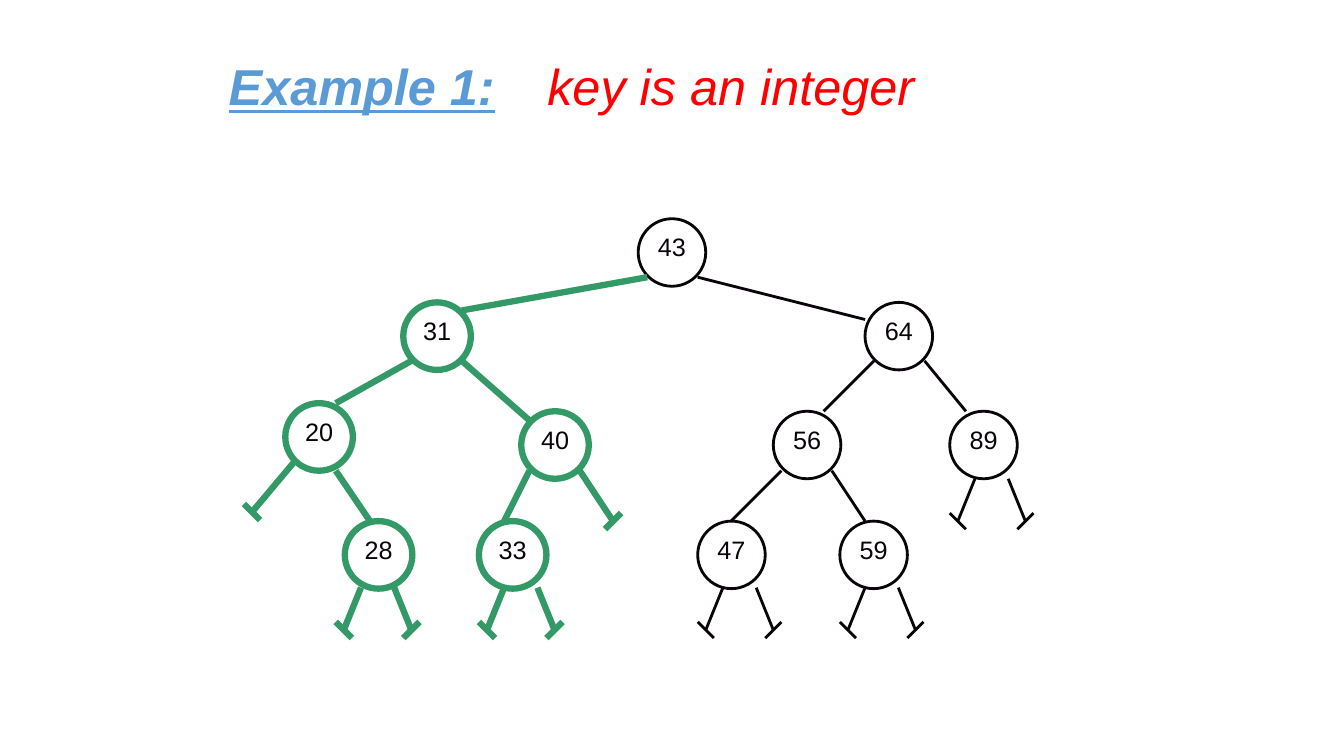
"""Binary search tree with integer keys, its left subtree highlighted."""
from dataclasses import dataclass

from lxml import etree
from pptx import Presentation
from pptx.dml.color import RGBColor
from pptx.enum.shapes import MSO_CONNECTOR, MSO_SHAPE
from pptx.enum.text import MSO_AUTO_SIZE, PP_ALIGN
from pptx.oxml.ns import qn
from pptx.util import Inches, Pt

STRAIGHT = MSO_CONNECTOR.STRAIGHT
OVAL = MSO_SHAPE.OVAL
GROW = MSO_AUTO_SIZE.SHAPE_TO_FIT_TEXT
LEFT, CENTER = PP_ALIGN.LEFT, PP_ALIGN.CENTER


@dataclass(frozen=True)
class Theme:
    """Colours, type sizes and measures of the slide."""
    font: str = "Arial"
    ink: str = "090409"
    highlight: str = "339966"
    heading: str = "5B9BD5"
    topic: str = "FF0000"
    title_size: int = 36
    key_size: int = 18
    plain_width: float = 2
    bold_width: float = 4.5
    node: float = 0.67
    tick: float = 0.08


class TreeSlide:
    """Draws the elements of a tree on one slide."""

    def __init__(self, slide, theme):
        self.slide, self.theme = slide, theme

    def stroke(self, line, highlighted):
        theme = self.theme
        line.color.rgb = RGBColor.from_string(theme.highlight if highlighted else theme.ink)
        line.width = Pt(theme.bold_width if highlighted else theme.plain_width)

    def text(self, words, box, size, color, align=LEFT, bold=False, italic=False, underline=False):
        frame = self.slide.shapes.add_textbox(*map(Inches, box)).text_frame
        frame.word_wrap = True
        frame.auto_size = GROW
        paragraph = frame.paragraphs[0]
        paragraph.alignment = align
        run = paragraph.add_run()
        run.text = words
        font = run.font
        font.name, font.size = self.theme.font, Pt(size)
        font.bold, font.italic, font.underline = bold, italic, underline
        font.color.rgb = RGBColor.from_string(color)

    def node(self, key, left, top, highlighted):
        theme = self.theme
        self.text(str(key), (left, top + 0.08, theme.node, 0.4), theme.key_size, theme.ink, CENTER)
        circle = self.slide.shapes.add_shape(OVAL, *map(Inches, (left, top, theme.node, theme.node)))
        circle.shadow.inherit = False
        circle.fill.background()
        self.stroke(circle.line, highlighted)

    def branch(self, x1, y1, x2, y2, highlighted):
        line = self.slide.shapes.add_connector(STRAIGHT, *map(Inches, (x1, y1, x2, y2)))
        etree.SubElement(line._element.spPr, qn("a:effectLst"))
        self.stroke(line.line, highlighted)

    def empty_branch(self, x1, y1, x2, y2, highlighted):
        tick = self.theme.tick
        rise = tick if x2 < x1 else -tick
        self.branch(x1, y1, x2, y2, highlighted)
        self.branch(x2 - tick, y2 - rise, x2 + tick, y2 + rise, highlighted)


NODES = [
    (43, 6.33, 2.17, False), (31, 4, 3, True), (64, 8.58, 3, False),
    (20, 2.83, 4, True), (40, 5.17, 4.08, True),
    (56, 7.67, 4.08, False), (89, 9.42, 4.08, False),
    (28, 3.42, 5.17, True), (33, 4.75, 5.17, True),
    (47, 6.92, 5.17, False), (59, 8.33, 5.17, False),
]
BRANCHES = [
    (6.42, 2.75, 4.58, 3.08, True), (6.92, 2.75, 8.58, 3.17, False),
    (4.08, 3.58, 3.33, 4, True), (4.58, 3.58, 5.25, 4.17, True),
    (8.67, 3.58, 8.17, 4.08, False), (9.17, 3.58, 9.58, 4.08, False),
    (3.33, 4.67, 3.67, 5.17, True), (5.25, 4.67, 5, 5.17, True),
    (7.75, 4.67, 7.25, 5.17, False), (8.25, 4.67, 8.58, 5.17, False),
]
INNER_EMPTY = [(2.92, 4.58, 2.5, 5.08, True), (5.75, 4.67, 6.08, 5.17, True)]
LEAF_FEET = [
    (3.58, 5.83, True), (5, 5.83, True), (7.17, 5.83, False),
    (8.58, 5.83, False), (9.67, 4.75, False),
]
FOOT_GAP, FOOT_SPREAD, FOOT_DROP = 0.33, 0.17, 0.42


def main():
    theme = Theme()
    deck = Presentation()
    deck.slide_width, deck.slide_height = Inches(13.33), Inches(7.5)
    tree = TreeSlide(deck.slides.add_slide(deck.slide_layouts[6]), theme)

    tree.text("Example 1:", (2.17, 0.5, 4.33, 0.7), theme.title_size, theme.heading,
              bold=True, italic=True, underline=True)
    tree.text("key is an integer", (5.33, 0.5, 4.17, 0.7), theme.title_size, theme.topic,
              italic=True)

    for node in NODES:
        tree.node(*node)
    for branch in BRANCHES:
        tree.branch(*branch)
    for branch in INNER_EMPTY:
        tree.empty_branch(*branch)
    for left, top, highlighted in LEAF_FEET:
        right, bottom = left + FOOT_GAP, top + FOOT_DROP
        tree.empty_branch(left, top, left - FOOT_SPREAD, bottom, highlighted)
        tree.empty_branch(right, top, right + FOOT_SPREAD, bottom, highlighted)

    deck.save("out.pptx")


if __name__ == "__main__":
    main()
